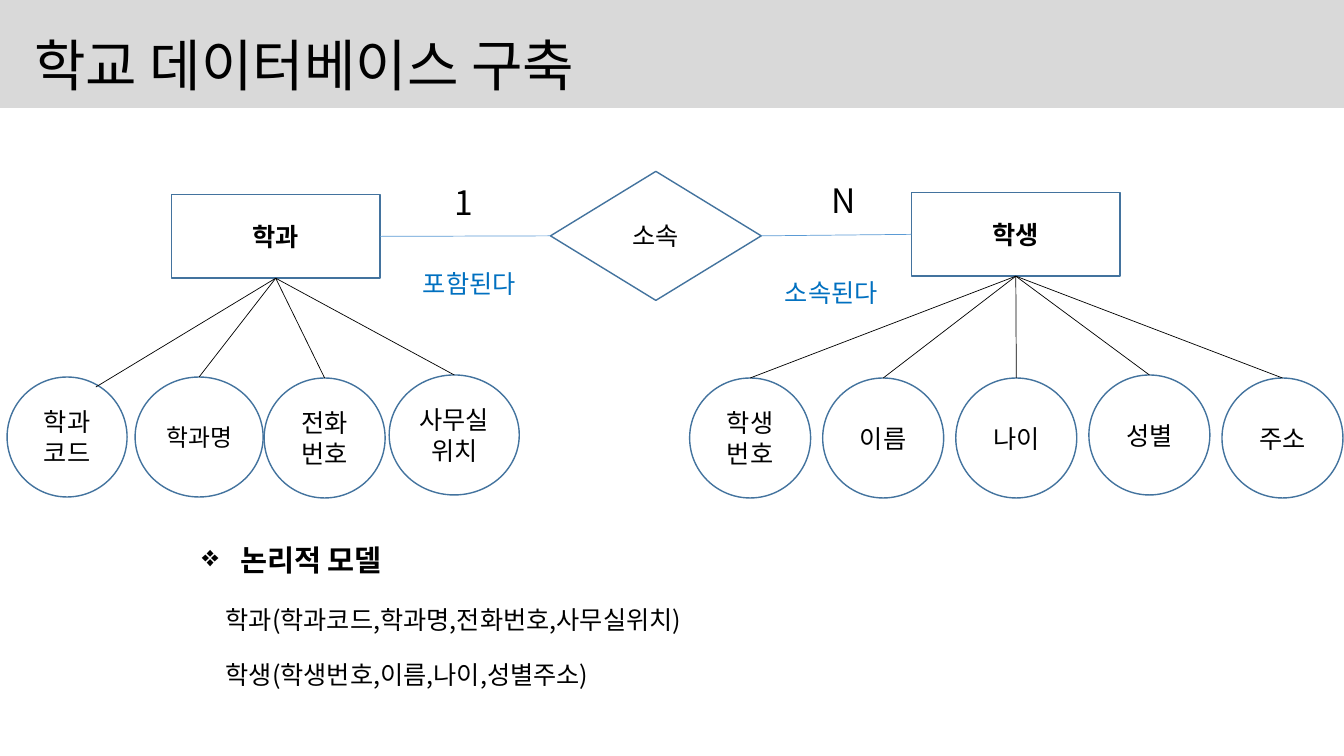
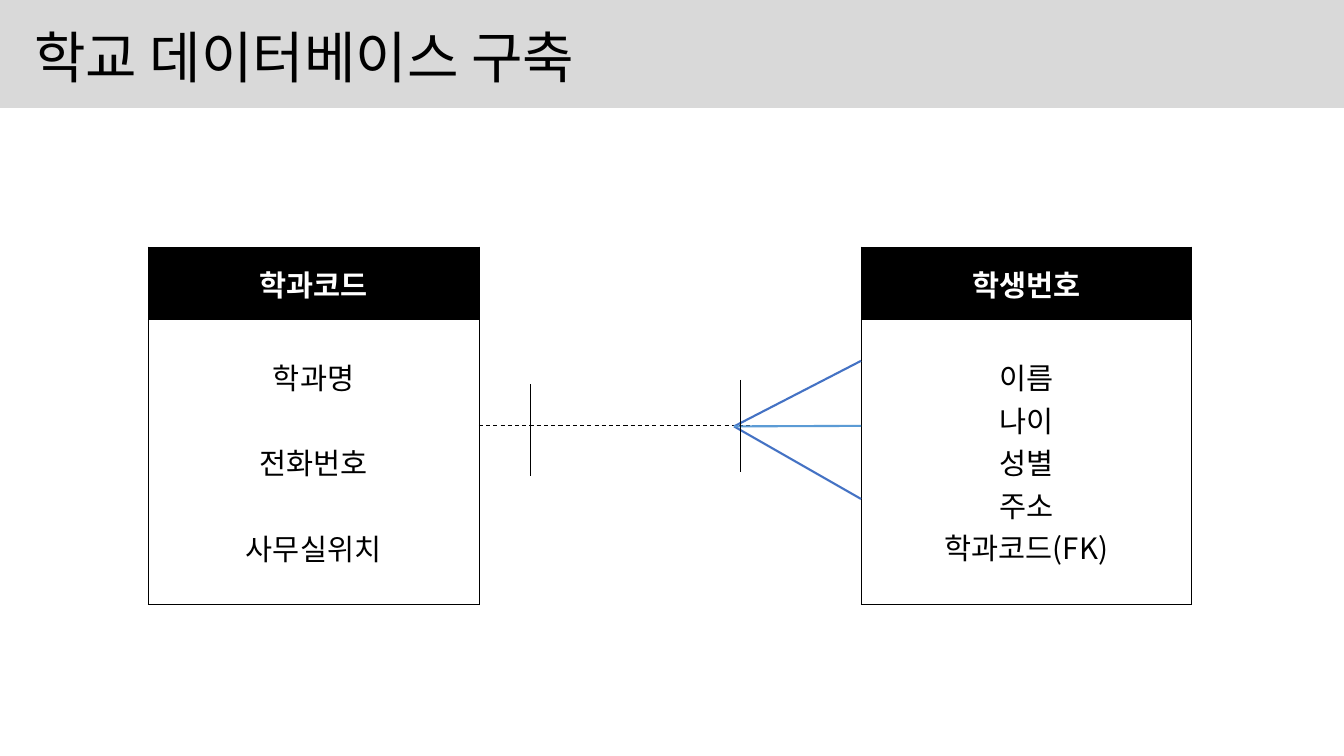
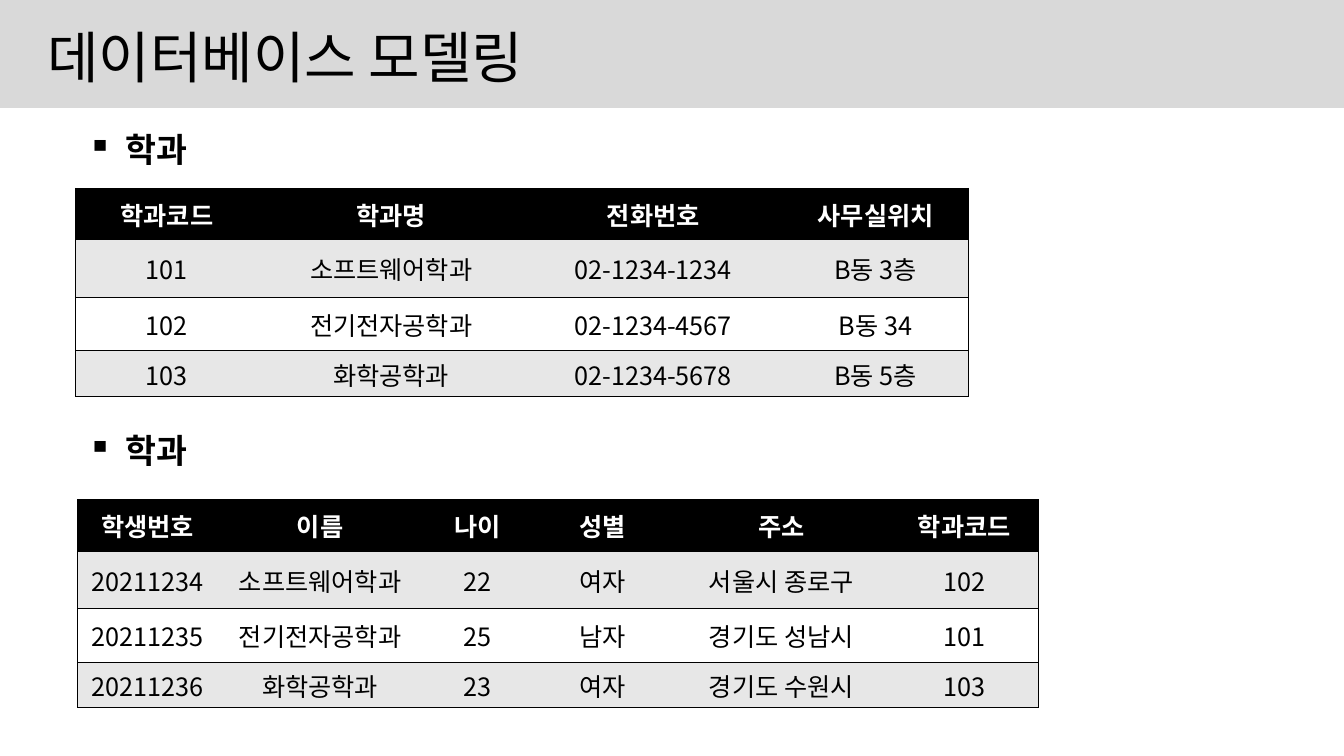
from lxml import etree
from pptx import Presentation
from pptx.dml.color import RGBColor
from pptx.enum.dml import MSO_LINE
from pptx.enum.shapes import MSO_CONNECTOR, MSO_SHAPE
from pptx.enum.text import MSO_ANCHOR, MSO_AUTO_SIZE, PP_ALIGN
from pptx.oxml.ns import qn
from pptx.util import Inches, Pt

FONT = "Noto Sans CJK KR"
COLORS = {
    "black": "000000",
    "white": "FFFFFF",
    "band": "D9D9D9",
    "stripe": "E7E7E7",
    "outline": "43739E",
    "link": "5B9BD5",
    "crow": "4472C4",
    "role": "0070C0",
}
TOP, LEFT, BOTTOM, RIGHT = range(4)  # connection sites


def rgb(name):
    return RGBColor.from_string(COLORS[name])


def box_lengths(*values):
    return [Inches(value) for value in values]


def write_text(text_frame, text, size, color="black", bold=False,
               align=PP_ALIGN.CENTER, gap=0):
    """Fill a text frame; each line of text becomes one paragraph."""
    text_frame.text = text
    for index, paragraph in enumerate(text_frame.paragraphs):
        paragraph.alignment = align
        paragraph.space_before = Pt(gap if index else 0)
        for run in paragraph.runs:
            run.font.size = Pt(size)
            run.font.bold = bold
            run.font.name = FONT
            run.font.color.rgb = rgb(color)
            east_asian = etree.SubElement(run.font._element, qn("a:ea"))
            east_asian.set("typeface", FONT)


def add_bullet(paragraph, symbol, indent=0.38):
    properties = paragraph._p.get_or_add_pPr()
    properties.set("marL", str(Inches(indent)))
    properties.set("indent", str(-Inches(indent)))
    etree.SubElement(properties, qn("a:buChar")).set("char", symbol)


def add_label(slide, box, text, size, bullet=None, **style):
    label = slide.shapes.add_textbox(*box_lengths(*box))
    text_frame = label.text_frame
    text_frame.word_wrap = True
    text_frame.auto_size = MSO_AUTO_SIZE.SHAPE_TO_FIT_TEXT
    write_text(text_frame, text, size, **style)
    if bullet:
        add_bullet(text_frame.paragraphs[0], bullet)


def add_outlined(slide, kind, box, text, size=18, bold=False):
    shape = slide.shapes.add_shape(kind, *box_lengths(*box))
    shape.shadow.inherit = False
    shape.fill.background()
    shape.line.color.rgb = rgb("outline")
    shape.line.width = Pt(1)
    shape.text_frame.vertical_anchor = MSO_ANCHOR.MIDDLE
    write_text(shape.text_frame, text, size, bold=bold)
    return shape


def add_line(slide, start, end, color="black", width=0.5, dash=None):
    """Each end is an (x, y) point in inches or a (shape, site) pair."""
    connector = slide.shapes.add_connector(MSO_CONNECTOR.STRAIGHT, 0, 0, 0, 0)
    if isinstance(start[0], (int, float)):
        connector.begin_x, connector.begin_y = box_lengths(*start)
    else:
        connector.begin_connect(*start)
    if isinstance(end[0], (int, float)):
        connector.end_x, connector.end_y = box_lengths(*end)
    else:
        connector.end_connect(*end)
    connector.line.color.rgb = rgb(color)
    connector.line.width = Pt(width)
    if dash:
        connector.line.dash_style = dash
    etree.SubElement(connector._element.spPr, qn("a:effectLst"))


def add_titled_slide(presentation, text, indent, drop):
    """New slide whose title is the grey band; indent and drop inset its text."""
    slide = presentation.slides.add_slide(presentation.slide_layouts[5])
    title = slide.shapes.title
    title.left, title.top, title.width, title.height = box_lengths(0, 0, 13.33, 1.07)
    title.fill.solid()
    title.fill.fore_color.rgb = rgb("band")
    text_frame = title.text_frame
    text_frame.auto_size = MSO_AUTO_SIZE.NONE
    text_frame.vertical_anchor = MSO_ANCHOR.TOP
    text_frame.margin_left = Inches(indent)
    text_frame.margin_top = Inches(drop)
    text_frame.margin_bottom = 0
    write_text(text_frame, text, 40, align=PP_ALIGN.LEFT)
    return slide


def style_cell(cell, fill, borders, width):
    """Draw the named sides (of L, R, T, B) in black and clear the others."""
    properties = cell._tc.get_or_add_tcPr()
    for side in "LRTB":
        line = etree.SubElement(properties, qn(f"a:ln{side}"))
        if side in borders:
            line.set("w", str(Pt(width)))
            solid = etree.SubElement(line, qn("a:solidFill"))
            etree.SubElement(solid, qn("a:srgbClr")).set("val", COLORS["black"])
        else:
            etree.SubElement(line, qn("a:noFill"))
    cell.fill.solid()
    cell.fill.fore_color.rgb = rgb(fill)
    cell.vertical_anchor = MSO_ANCHOR.MIDDLE


def add_grid(slide, left, top, columns, heights, rows, size, border, gap=0):
    """Table with a black header, striped rows and no inner vertical lines."""
    frame = slide.shapes.add_table(
        len(rows), len(columns),
        *box_lengths(left, top, sum(columns), sum(heights)))
    table = frame.table
    table.horz_banding = False
    for column, width in zip(table.columns, columns):
        column.width = Inches(width)
    for index, (row, height) in enumerate(zip(table.rows, heights)):
        row.height = Inches(height)
        header = index == 0
        striped = len(rows) > 2 and index % 2
        fill = "black" if header else "stripe" if striped else "white"
        for position, text in enumerate(rows[index]):
            cell = table.cell(index, position)
            borders = "TB"
            borders += "L" if position == 0 else ""
            borders += "R" if position == len(columns) - 1 else ""
            style_cell(cell, fill, borders, border)
            write_text(cell.text_frame, text, size, gap=gap, bold=header,
                       color="white" if header else "black")
    return frame


# Entity-relationship diagram
def add_entity(slide, left, top, name, attributes):
    """Entity box; attributes are (text, x, y, width, size) from its corner."""
    entity = add_outlined(slide, MSO_SHAPE.RECTANGLE, (left, top, 2.07, 0.83),
                          name, bold=True)
    for text, x, y, width, size in attributes:
        circle = add_outlined(slide, MSO_SHAPE.OVAL,
                              (left + x, top + y, width, 1.19), text, size)
        end = (circle, TOP)
        if "\n" in text:  # this line meets the circle right of its top
            end = (left + x + 0.88, top + y + 0.1)
        add_line(slide, (entity, BOTTOM), end)
    return entity


def build_diagram_slide(presentation):
    slide = add_titled_slide(presentation, "학교 데이터베이스 구축", 0.34, 0.3)
    department = add_entity(slide, 1.7, 1.93, "학과", [
        ("학과\n코드", -1.63, 1.81, 1.19, 18),
        ("학과명", -0.36, 1.81, 1.27, 17),
        ("전화번호", 0.92, 1.82, 1.2, 18),
        ("사무실위치", 2.16, 1.79, 1.29, 18),
    ])
    names = ["학생번호", "이름", "나이", "성별", "주소"]
    student = add_entity(slide, 9.04, 1.91, "학생", [
        (name, -2.2 + 1.32 * index, 1.81 if name == "성별" else 1.84, 1.2, 18)
        for index, name in enumerate(names)
    ])

    # Relationship and its labels
    belongs = add_outlined(slide, MSO_SHAPE.DIAMOND, (5.46, 1.7, 2.09, 1.28), "소속")
    add_line(slide, (department, RIGHT), (belongs, LEFT), "link")
    add_line(slide, (belongs, RIGHT), (student, LEFT), "link")
    add_label(slide, (4.08, 1.76, 1.05, 0.5), "1", 24)
    add_label(slide, (7.84, 1.74, 1.05, 0.5), "N", 24)
    add_label(slide, (3.86, 2.61, 1.59, 0.4), "포함된다", 18, color="role")
    add_label(slide, (7.45, 2.7, 1.59, 0.4), "소속된다", 18, color="role")

    # Logical model
    add_label(slide, (1.74, 5.33, 2.31, 0.45), "논리적 모델", 21,
              bullet="❖", bold=True)
    add_label(slide, (2.14, 5.95, 9.04, 1.01),
              "학과(학과코드,학과명,전화번호,사무실위치)\n"
              "학생(학생번호,이름,나이,성별주소)",
              18, align=PP_ALIGN.LEFT, gap=17.5)


# Crow's foot diagram
def add_record(slide, left, top, key, fields, gap=0):
    return add_grid(slide, left, top, [3.28], [0.72, 2.83],
                    [[key], ["\n".join(fields)]], 21, 0.5, gap)


def build_crow_foot_slide(presentation):
    slide = add_titled_slide(presentation, "학교 데이터베이스 구축", 0.34, 0.22)
    department = add_record(slide, 1.47, 2.45, "학과코드",
                            ["학과명", "전화번호", "사무실위치"], gap=30.5)
    student = add_record(slide, 8.54, 2.45, "학생번호",
                         ["이름", "나이", "성별", "주소", "학과코드(FK)"])
    add_line(slide, (department, RIGHT), (student, LEFT),
             width=0.75, dash=MSO_LINE.DASH)
    fork = (7.28, 4.23)
    for y in (3.58, 4.95):
        add_line(slide, fork, (8.54, y), "crow", 1.5)
    add_line(slide, fork, (student, LEFT), "link", 1.5)
    for x, y in ((5.26, 3.81), (7.34, 3.77)):
        add_line(slide, (x, y), (x, y + 0.91))


# Sample data tables
def add_data_section(slide, heading_top, left, top, columns, rows):
    add_label(slide, (0.77, heading_top, 1.53, 0.5), "학과", 24,
              bullet="▪", bold=True, align=PP_ALIGN.LEFT)
    add_grid(slide, left, top, columns, [0.51, 0.57, 0.53, 0.45], rows, 18, 1)


def build_tables_slide(presentation):
    slide = add_titled_slide(presentation, "데이터베이스 모델링", 0.47, 0.22)
    add_data_section(slide, 1.23, 0.75, 1.87, [1.81, 2.64, 2.56, 1.85], [
        ["학과코드", "학과명", "전화번호", "사무실위치"],
        ["101", "소프트웨어학과", "02-1234-1234", "B동 3층"],
        ["102", "전기전자공학과", "02-1234-4567", "B동 34"],
        ["103", "화학공학과", "02-1234-5678", "B동 5층"],
    ])
    add_data_section(slide, 4.22, 0.77, 4.96, [1.39, 2.03, 1.09, 1.39, 2.16, 1.47], [
        ["학생번호", "이름", "나이", "성별", "주소", "학과코드"],
        ["20211234", "소프트웨어학과", "22", "여자", "서울시 종로구", "102"],
        ["20211235", "전기전자공학과", "25", "남자", "경기도 성남시", "101"],
        ["20211236", "화학공학과", "23", "여자", "경기도 수원시", "103"],
    ])


def main():
    presentation = Presentation()
    presentation.slide_width = Inches(13.33)
    presentation.slide_height = Inches(7.5)
    build_diagram_slide(presentation)
    build_crow_foot_slide(presentation)
    build_tables_slide(presentation)
    presentation.save("out.pptx")


if __name__ == "__main__":
    main()
